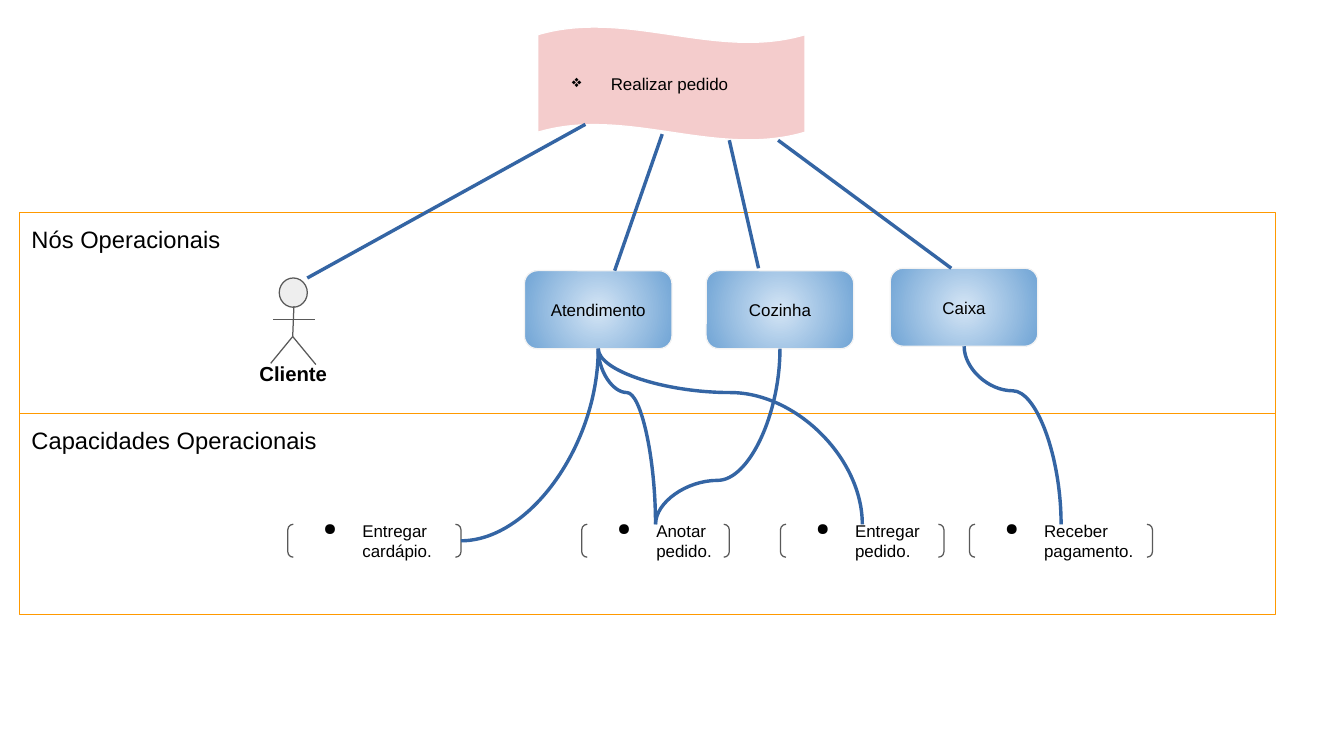
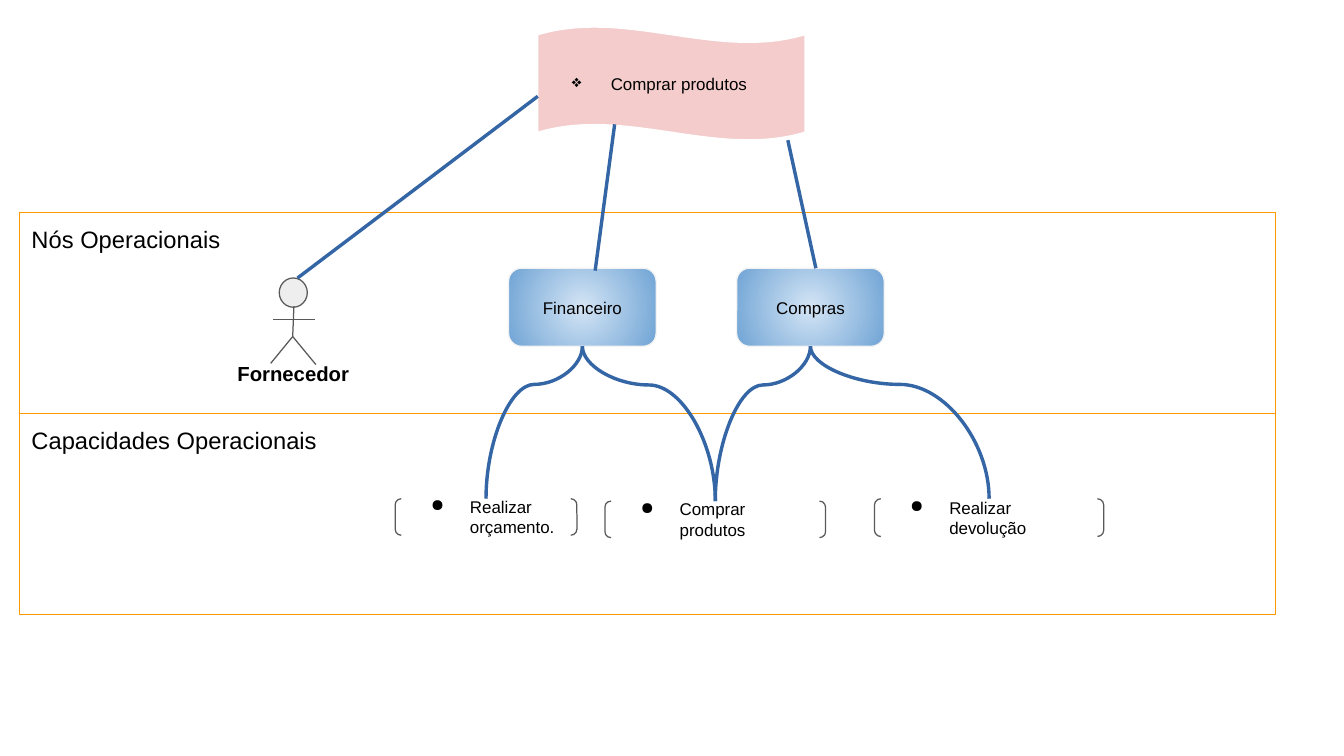
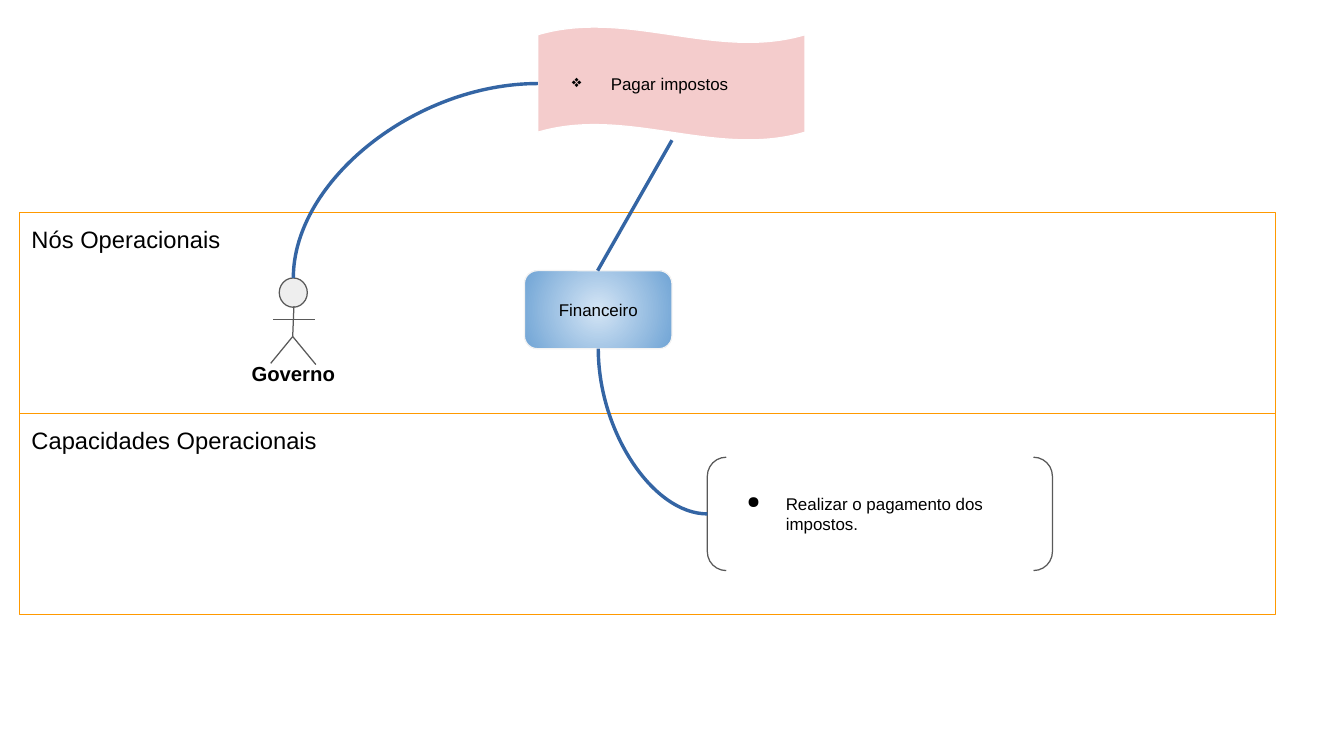
import dataclasses
import typing

import pptx
import pptx.dml.color
import pptx.enum.dml
import pptx.enum.shapes
import pptx.enum.text
import pptx.oxml
import pptx.oxml.ns
import pptx.util

Inches = pptx.util.Inches
Pt = pptx.util.Pt
qn = pptx.oxml.ns.qn
SHAPE = pptx.enum.shapes.MSO_SHAPE
CONNECTOR = pptx.enum.shapes.MSO_CONNECTOR
ANCHOR = pptx.enum.text.MSO_ANCHOR
ALIGN = pptx.enum.text.PP_ALIGN

BLACK, WHITE = "000000", "FFFFFF"
ORANGE, PINK = "FF9900", "F4CCCC"
GREY, PALE_GREY, NODE_EDGE = "595959", "EEEEEE", "F3F3F3"
NODE_CENTRE, NODE_RIM = "D4E5F5", "70A4D5"
LINK_BLUE = "3465A4"

TOP, LEFT, BOTTOM, RIGHT = range(4)
Box = tuple[float, float, float, float]
Segment = tuple[float, float, float, float]

BAND_LEFT, BAND_TOP, BAND_W, BAND_H = 0.16, 1.74, 10.3, 1.65
BANDS = ("Nós Operacionais", "Capacidades Operacionais")
GOAL_BOX = (4.41, 0.22, 2.19, 0.93)
HEAD_BOX = (2.29, 2.28, 0.23, 0.24)
ACTOR_NAME_BOX = (1.79, 2.86, 1.23, 0.41)
BODY_LINES = (
    (2.41, 2.51, 2.4, 2.76),
    (2.24, 2.62, 2.58, 2.62),
    (2.4, 2.76, 2.22, 2.98),
    (2.4, 2.76, 2.59, 2.99),
)
NODE_W, NODE_H = 1.21, 0.64


@dataclasses.dataclass(frozen=True)
class Node:
    text: str
    x: float
    y: float


@dataclasses.dataclass(frozen=True)
class Capability:
    text: str
    box: Box


@dataclasses.dataclass(frozen=True)
class Curve:
    node: int
    capability: int
    side: int = TOP
    upward: bool = False


@dataclasses.dataclass(frozen=True)
class Diagram:
    goal: str
    actor: str
    nodes: tuple[Node, ...]
    capabilities: tuple[Capability, ...]
    lines: tuple[Segment, ...]
    curves: tuple[Curve, ...]
    actor_curve: bool = False


DIAGRAMS = (
    Diagram(
        "Realizar pedido",
        "Cliente",
        (Node("Atendimento", 4.3, 2.22), Node("Cozinha", 5.79, 2.22), Node("Caixa", 7.3, 2.2)),
        (
            Capability("Entregar cardápio.", (2.36, 4.3, 1.42, 0.27)),
            Capability("Anotar pedido.", (4.77, 4.3, 1.21, 0.27)),
            Capability("Entregar pedido.", (6.4, 4.3, 1.34, 0.27)),
            Capability("Receber pagamento.", (7.95, 4.3, 1.5, 0.27)),
        ),
        (
            (5.98, 1.15, 6.22, 2.2),
            (4.8, 1.02, 2.52, 2.28),
            (5.43, 1.1, 5.04, 2.22),
            (6.38, 1.15, 7.8, 2.2),
        ),
        (Curve(0, 0, RIGHT), Curve(0, 1), Curve(1, 1, upward=True), Curve(0, 2), Curve(2, 3)),
    ),
    Diagram(
        "Comprar produtos",
        "Fornecedor",
        (Node("Financeiro", 4.17, 2.2), Node("Compras", 6.04, 2.2)),
        (
            Capability("Realizar orçamento.", (3.24, 4.09, 1.49, 0.3)),
            Capability("Comprar produtos", (4.96, 4.11, 1.81, 0.3)),
            Capability("Realizar devolução", (7.17, 4.09, 1.88, 0.31)),
        ),
        ((2.44, 2.28, 4.41, 0.79), (4.88, 2.22, 5.04, 1.02), (6.69, 2.2, 6.46, 1.15)),
        (Curve(0, 0), Curve(0, 1), Curve(1, 1), Curve(1, 2)),
    ),
    Diagram(
        "Pagar impostos",
        "Governo",
        (Node("Financeiro", 4.3, 2.22),),
        (Capability("Realizar o pagamento dos impostos.", (5.8, 3.75, 2.83, 0.93)),),
        ((4.9, 2.22, 5.51, 1.15),),
        (Curve(0, 0, LEFT),),
        actor_curve=True,
    ),
)


def rgb(color: str) -> pptx.dml.color.RGBColor:
    return pptx.dml.color.RGBColor.from_string(color)


def apply(target: typing.Any, values: dict[str, typing.Any]) -> None:
    for name, value in values.items():
        setattr(target, name, value)


def add_bullet(p: typing.Any, char: str) -> None:
    pPr = p._p.get_or_add_pPr()
    pPr.set("marL", str(Inches(0.5)))
    pPr.set("indent", str(Inches(-0.32)))
    color = pptx.oxml.parse_xml(
        f'<a:buClr {pptx.oxml.ns.nsdecls("a")}><a:srgbClr val="{BLACK}"/></a:buClr>'
    )
    bullet = pptx.oxml.parse_xml(f'<a:buChar {pptx.oxml.ns.nsdecls("a")} char="{char}"/>')
    pPr.extend([color, bullet])


def write(
    sp: typing.Any,
    text: str,
    size: float,
    anchor: typing.Any = ANCHOR.MIDDLE,
    align: typing.Any = ALIGN.LEFT,
    bold: bool = False,
    bullet: str = "",
) -> None:
    tf = sp.text_frame
    margins = {f"margin_{side}": Inches(0.1) for side in ("left", "top", "right", "bottom")}
    apply(tf, {"word_wrap": True, "vertical_anchor": anchor, **margins})
    p = tf.paragraphs[0]
    p.alignment = align
    if bullet:
        add_bullet(p, bullet)
    r = p.add_run()
    r.text = text
    apply(r.font, {"name": "Arial", "size": Pt(size), "bold": bold})
    r.font.color.rgb = rgb(BLACK)


def add_shape(
    shapes: typing.Any,
    kind: typing.Any,
    box: Box,
    line: str,
    fill: str = "",
    adjustments: tuple[float, ...] = (),
) -> typing.Any:
    sp = shapes.add_shape(kind, *map(Inches, box))
    sp.shadow.inherit = False
    for i, value in enumerate(adjustments):
        sp.adjustments[i] = value
    if fill:
        sp.fill.solid()
        sp.fill.fore_color.rgb = rgb(fill)
    else:
        sp.fill.background()
    sp.line.color.rgb = rgb(line)
    sp.line.width = Pt(0.75)
    return sp


def fill_radial(sp: typing.Any, centre: str, rim: str) -> None:
    sp.fill.gradient()
    for stop, color in zip(sp.fill.gradient_stops, (centre, rim)):
        stop.color.rgb = rgb(color)
    grad = sp._element.spPr.find(qn("a:gradFill"))
    radial = pptx.oxml.parse_xml(
        f'<a:path {pptx.oxml.ns.nsdecls("a")} path="circle">'
        '<a:fillToRect l="50000" t="50000" r="50000" b="50000"/></a:path>'
    )
    grad.replace(grad.find(qn("a:lin")), radial)


def style_connector(cxn: typing.Any, color: str, width: float) -> None:
    cxn.line.color.rgb = rgb(color)
    cxn.line.width = Pt(width)
    cxn._element.spPr.append(
        pptx.oxml.parse_xml(f'<a:effectLst {pptx.oxml.ns.nsdecls("a")}/>')
    )


def add_line(shapes: typing.Any, ends: Segment, color: str, width: float) -> None:
    cxn = shapes.add_connector(CONNECTOR.STRAIGHT, *map(Inches, ends))
    style_connector(cxn, color, width)


def add_curve(
    shapes: typing.Any, start: typing.Any, start_site: int, end: typing.Any, end_site: int
) -> None:
    cxn = shapes.add_connector(CONNECTOR.CURVE, 0, 0, 0, 0)
    cxn.begin_connect(start, start_site)
    cxn.end_connect(end, end_site)
    x1, y1, x2, y2 = cxn.begin_x, cxn.begin_y, cxn.end_x, cxn.end_y
    w, h = abs(y2 - y1), abs(x2 - x1)
    apply(
        cxn,
        {"left": (x1 + x2 - w) // 2, "top": (y1 + y2 - h) // 2, "width": w, "height": h},
    )
    right, up = x2 > x1, y2 < y1
    xfrm = cxn._element.spPr.find(qn("a:xfrm"))
    degrees = 270 if right and not up else 90
    for name, value in {"rot": degrees * 60000, "flipH": int(right), "flipV": int(up)}.items():
        xfrm.set(name, str(value))
    geom = cxn._element.spPr.find(qn("a:prstGeom"))
    if end_site in (LEFT, RIGHT):
        geom.set("prst", "curvedConnector2")
    else:
        guide = pptx.oxml.parse_xml(
            f'<a:gd {pptx.oxml.ns.nsdecls("a")} name="adj1" fmla="val 25000"/>'
        )
        geom.find(qn("a:avLst")).append(guide)
    style_connector(cxn, LINK_BLUE, 0)


def add_band(shapes: typing.Any, row: int) -> None:
    box = (BAND_LEFT, BAND_TOP + row * BAND_H, BAND_W, BAND_H)
    sp = add_shape(shapes, SHAPE.RECTANGLE, box, ORANGE)
    write(sp, BANDS[row], 14, anchor=ANCHOR.TOP)


def add_goal(shapes: typing.Any, text: str) -> typing.Any:
    sp = add_shape(shapes, SHAPE.WAVE, GOAL_BOX, WHITE, PINK, (0.07, 0))
    write(sp, text, 10, bullet="❖")
    return sp


def add_actor(shapes: typing.Any, name: str) -> typing.Any:
    group = shapes.add_group_shape()
    head = add_shape(group.shapes, SHAPE.FLOWCHART_CONNECTOR, HEAD_BOX, GREY, PALE_GREY)
    for ends in BODY_LINES:
        add_line(group.shapes, ends, GREY, 0.75)
    label = group.shapes.add_textbox(*map(Inches, ACTOR_NAME_BOX))
    write(label, name, 12, anchor=ANCHOR.TOP, align=ALIGN.CENTER, bold=True)
    return head


def add_node(shapes: typing.Any, node: Node) -> typing.Any:
    box = (node.x, node.y, NODE_W, NODE_H)
    sp = add_shape(shapes, SHAPE.ROUNDED_RECTANGLE, box, NODE_EDGE, adjustments=(0.167,))
    fill_radial(sp, NODE_CENTRE, NODE_RIM)
    write(sp, node.text, 10, align=ALIGN.CENTER)
    return sp


def add_capability(shapes: typing.Any, capability: Capability) -> typing.Any:
    sp = add_shape(shapes, SHAPE.DOUBLE_BRACKET, capability.box, GREY, adjustments=(0.167,))
    write(sp, capability.text, 10, bullet="●")
    return sp


def draw(shapes: typing.Any, diagram: Diagram) -> None:
    add_band(shapes, 0)
    goal = add_goal(shapes, diagram.goal)
    head = add_actor(shapes, diagram.actor)
    add_band(shapes, 1)
    capabilities = [add_capability(shapes, c) for c in diagram.capabilities]
    nodes = [add_node(shapes, n) for n in diagram.nodes]
    for ends in diagram.lines:
        add_line(shapes, ends, LINK_BLUE, 0)
    for curve in diagram.curves:
        node, capability = nodes[curve.node], capabilities[curve.capability]
        if curve.upward:
            add_curve(shapes, capability, curve.side, node, BOTTOM)
        else:
            add_curve(shapes, node, BOTTOM, capability, curve.side)
    if diagram.actor_curve:
        add_curve(shapes, head, TOP, goal, LEFT)


def main() -> None:
    prs = pptx.Presentation()
    apply(prs, {"slide_width": Inches(11.02), "slide_height": Inches(6.2)})
    for diagram in DIAGRAMS:
        s = prs.slides.add_slide(prs.slide_layouts[6])
        draw(s.shapes, diagram)
    prs.save("out.pptx")


if __name__ == "__main__":
    main()
